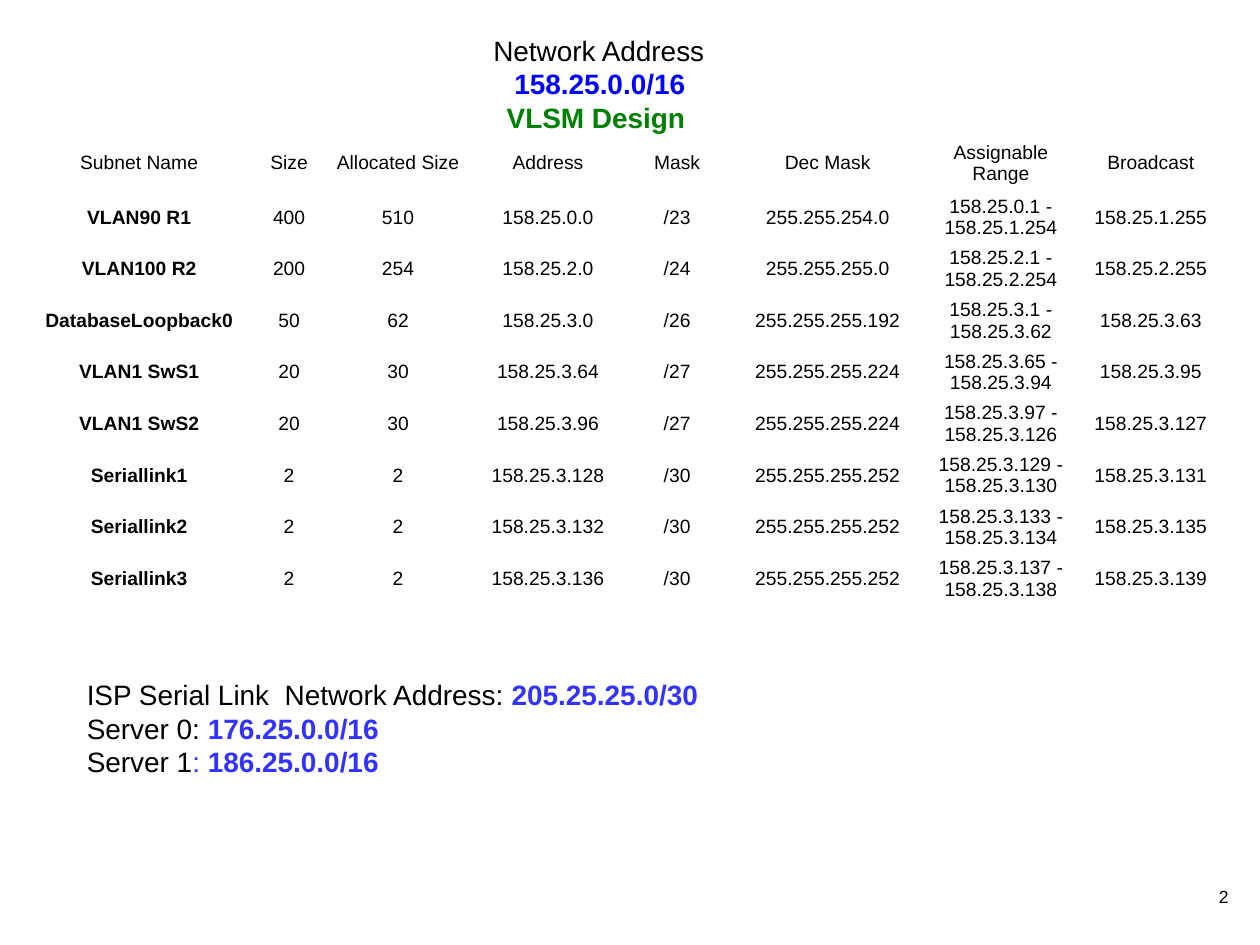
"""Build the VLSM addressing plan slide."""
from typing import NamedTuple

from pptx import Presentation
from pptx.dml.color import RGBColor
from pptx.enum.text import MSO_ANCHOR, MSO_AUTO_SIZE, PP_ALIGN
from pptx.util import Inches, Pt

LEFT, CENTER, RIGHT = PP_ALIGN.LEFT, PP_ALIGN.CENTER, PP_ALIGN.RIGHT
TOP, MIDDLE = MSO_ANCHOR.TOP, MSO_ANCHOR.MIDDLE
FIT_SHAPE, FIT_NONE = MSO_AUTO_SIZE.SHAPE_TO_FIT_TEXT, MSO_AUTO_SIZE.NONE
BLACK = RGBColor(0x00, 0x00, 0x00)
BLUE = RGBColor(0x00, 0x00, 0xFF)
GREEN = RGBColor(0x00, 0x80, 0x00)
INDIGO = RGBColor(0x33, 0x33, 0xFF)
FONT = "Arial"


class Span(NamedTuple):
    text: str
    size: float = 16
    color: RGBColor = BLACK
    bold: bool = False


class TextBox(NamedTuple):
    place: tuple
    lines: list
    align: PP_ALIGN = LEFT
    frame: dict = {}


class Subnet(NamedTuple):
    name: str
    size: str
    allocated: str
    address: str
    mask: str
    decimal_mask: str
    assignable: str
    broadcast: str


COLUMN_WIDTHS = [1.81, 0.57, 1.16, 1.22, 0.83, 1.56, 1.19, 1.19]
HEADER_HEIGHT, ROW_HEIGHT = 0.45, 0.41
HEADER = Subnet("Subnet Name", "Size", "Allocated Size", "Address", "Mask",
                "Dec Mask", "Assignable Range", "Broadcast")
SUBNETS = [
    Subnet("VLAN90 R1", "400", "510", "158.25.0.0", "/23", "255.255.254.0",
           "158.25.0.1 - 158.25.1.254", "158.25.1.255"),
    Subnet("VLAN100 R2", "200", "254", "158.25.2.0", "/24", "255.255.255.0",
           "158.25.2.1 - 158.25.2.254", "158.25.2.255"),
    Subnet("DatabaseLoopback0", "50", "62", "158.25.3.0", "/26", "255.255.255.192",
           "158.25.3.1 - 158.25.3.62", "158.25.3.63"),
    Subnet("VLAN1 SwS1", "20", "30", "158.25.3.64", "/27", "255.255.255.224",
           "158.25.3.65 - 158.25.3.94", "158.25.3.95"),
    Subnet("VLAN1 SwS2", "20", "30", "158.25.3.96", "/27", "255.255.255.224",
           "158.25.3.97 - 158.25.3.126", "158.25.3.127"),
    Subnet("Seriallink1", "2", "2", "158.25.3.128", "/30", "255.255.255.252",
           "158.25.3.129 - 158.25.3.130", "158.25.3.131"),
    Subnet("Seriallink2", "2", "2", "158.25.3.132", "/30", "255.255.255.252",
           "158.25.3.133 - 158.25.3.134", "158.25.3.135"),
    Subnet("Seriallink3", "2", "2", "158.25.3.136", "/30", "255.255.255.252",
           "158.25.3.137 - 158.25.3.138", "158.25.3.139"),
]
CELL_FORMAT = {
    "vertical_anchor": MIDDLE,
    "margin_left": Inches(0.07), "margin_right": Inches(0.07),
    "margin_top": Inches(0.03), "margin_bottom": Inches(0.03),
}
TEXT_BOXES = [
    TextBox((9.49, 6.98, 0.36, 0.31), [[Span("2", 10)]], RIGHT),
    TextBox((3.76, 0.21, 1.94, 0.91), [
        [Span(" ", 12), Span("Network Address")],
        [Span("\u00a0"), Span("158.25.0.0/16", color=BLUE, bold=True)],
        [Span("VLSM Design", color=GREEN, bold=True)],
    ], CENTER, {"vertical_anchor": MIDDLE, "word_wrap": False, "auto_size": FIT_SHAPE}),
    TextBox((0.59, 5.33, 7.48, 0.91), [
        [Span("ISP Serial Link  Network Address: "),
         Span("205.25.25.0/30", color=INDIGO, bold=True)],
        [Span("Server 0: "), Span("176.25.0.0/16", color=INDIGO, bold=True)],
        [Span("Server 1"), Span(": ", color=INDIGO),
         Span("186.25.0.0/16", color=INDIGO, bold=True)],
    ], frame={"auto_size": FIT_SHAPE}),
]


def apply_format(target, values: dict) -> None:
    for name, value in values.items():
        setattr(target, name, value)


def write_line(para, spans: list, align: PP_ALIGN) -> None:
    para.alignment = align
    for span in spans:
        run = para.add_run()
        run.text = span.text
        apply_format(run.font, {"name": FONT, "size": Pt(span.size), "bold": span.bold})
        run.font.color.rgb = span.color


def add_text_box(page, box: TextBox) -> None:
    frame = page.shapes.add_textbox(*map(Inches, box.place)).text_frame
    apply_format(frame, {"word_wrap": True, "auto_size": FIT_NONE,
                         "vertical_anchor": TOP} | box.frame)
    for index, spans in enumerate(box.lines):
        para = frame.add_paragraph() if index else frame.paragraphs[0]
        write_line(para, spans, box.align)


def add_subnet_table(page) -> None:
    rows = [HEADER, *SUBNETS]
    height = HEADER_HEIGHT + ROW_HEIGHT * len(SUBNETS)
    table = page.shapes.add_table(len(rows), len(COLUMN_WIDTHS), Inches(0.2), Inches(1.07),
                                  Inches(sum(COLUMN_WIDTHS)), Inches(height)).table
    apply_format(table, {"first_row": False, "horz_banding": False})
    for column, width in zip(table.columns, COLUMN_WIDTHS):
        column.width = Inches(width)
    for row_index, (row, subnet) in enumerate(zip(table.rows, rows)):
        row.height = Inches(ROW_HEIGHT if row_index else HEADER_HEIGHT)
        for column_index, (cell, text) in enumerate(zip(row.cells, subnet)):
            cell.fill.background()
            apply_format(cell, CELL_FORMAT)
            bold = row_index > 0 and column_index == 0
            write_line(cell.text_frame.paragraphs[0], [Span(text, 11, bold=bold)], CENTER)


def main() -> None:
    deck = Presentation()
    apply_format(deck, {"slide_width": Inches(10), "slide_height": Inches(7.5)})
    page = deck.slides.add_slide(deck.slide_layouts[6])
    add_subnet_table(page)
    for box in TEXT_BOXES:
        add_text_box(page, box)
    deck.save("out.pptx")


main()
